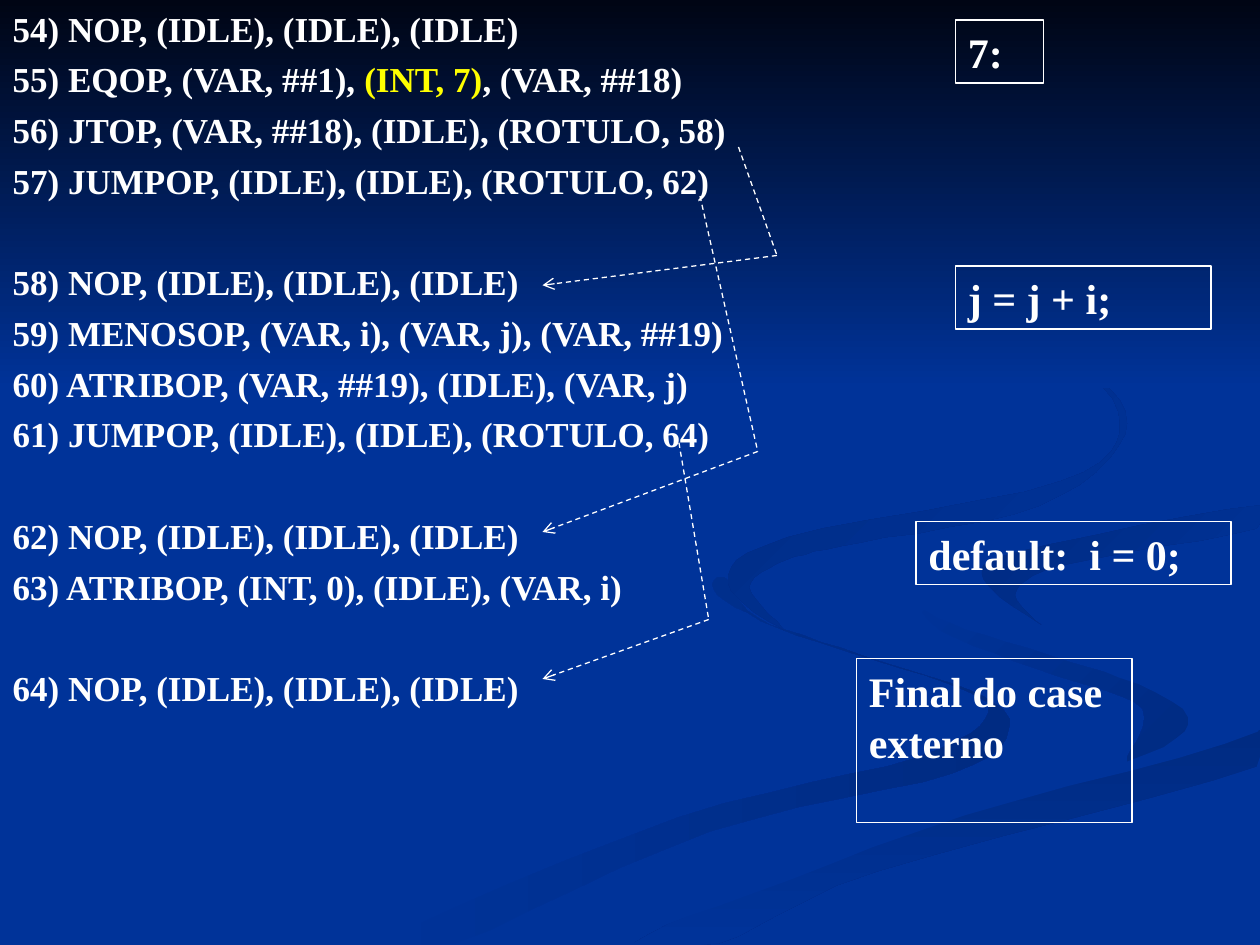
from dataclasses import dataclass

from lxml.etree import SubElement
from pptx import Presentation
from pptx.dml.color import RGBColor
from pptx.enum.dml import MSO_LINE
from pptx.enum.shapes import MSO_CONNECTOR, MSO_SHAPE
from pptx.enum.text import MSO_ANCHOR, MSO_AUTO_SIZE, PP_ALIGN
from pptx.oxml.ns import qn
from pptx.util import Pt


@dataclass(frozen=True)
class Theme:
    background: str = "003399"
    night: str = "000514"
    ribbon: str = "002B82"
    text: str = "FFFFFF"
    highlight: str = "FFFF00"
    font: str = "Times New Roman"
    code_size: float = 20
    callout_size: float = 24
    line_width: float = 0.75


THEME = Theme()
WIDTH, HEIGHT = 720, 540
CURVE_STEPS = 6

# Start colour, end colour, clockwise gradient angle, points the outline curves through
RIBBONS = [
    (THEME.background, THEME.ribbon, 0, [
        (414, 330), (410, 340), (455, 363), (540, 390), (565, 407), (524, 433),
        (388, 467), (216, 539), (260, 539), (406, 475), (544, 442), (576, 418), (562, 398),
        (491, 374), (433, 353)]),
    (THEME.background, THEME.ribbon, 45, [
        (521, 334), (537, 360), (603, 386), (653, 405), (644, 436), (677, 419),
        (670, 398), (598, 374), (535, 353)]),
    (THEME.ribbon, THEME.background, 90, [
        (362, 539), (411, 539), (501, 498), (718, 438), (718, 418), (550, 466), (454, 499)]),
    (THEME.background, THEME.background, 0, [
        (522, 334), (536, 353), (627, 382), (679, 410), (642, 436), (507, 472),
        (343, 539), (410, 518), (551, 466), (719, 418), (719, 387), (579, 349),
        (576, 318), (719, 289), (719, 279), (544, 311)]),
    (THEME.ribbon, THEME.background, 45, [
        (562, 331), (595, 357), (580, 340), (607, 323), (718, 302), (718, 289), (583, 315)]),
    (THEME.ribbon, THEME.background, 45, [
        (492, 310), (594, 289), (643, 248), (622, 210), (549, 168), (609, 201), (640, 241),
        (606, 275), (450, 307), (416, 333), (448, 360), (428, 336), (449, 320)]),
]

# Groups of instructions; asterisks mark a highlighted operand
CODE_GROUPS = [
    ["54) NOP, (IDLE), (IDLE), (IDLE)",
     "55) EQOP, (VAR, ##1), *(INT, 7)*, (VAR, ##18)",
     "56) JTOP, (VAR, ##18), (IDLE), (ROTULO, 58)",
     "57) JUMPOP, (IDLE), (IDLE), (ROTULO, 62)"],
    ["58) NOP, (IDLE), (IDLE), (IDLE)",
     "59) MENOSOP, (VAR, i), (VAR, j), (VAR, ##19)",
     "60) ATRIBOP, (VAR, ##19), (IDLE), (VAR, j)",
     "61) JUMPOP, (IDLE), (IDLE), (ROTULO, 64)"],
    ["62) NOP, (IDLE), (IDLE), (IDLE)",
     "63) ATRIBOP, (INT, 0), (IDLE), (VAR, i)"],
    ["64) NOP, (IDLE), (IDLE), (IDLE)"],
]

# Text, left, top, width, height
CALLOUTS = [
    ("7:", 546, 11.5, 50.5, 36),
    ("j = j + i;", 546, 152, 146, 36),
    ("default:  i = 0;", 523.5, 298, 180, 36),
    ("Final do case externo", 489.5, 376.5, 157.5, 93.5),
]

# Start, elbow and target of each jump
JUMPS = [
    ((422, 84), (444, 146), (310, 163)),
    ((400, 112), (433, 258), (310, 304)),
    ((388, 253), (405, 354), (310, 388)),
]


def rgb(value):
    return RGBColor.from_string(value)


def format_font(font, size, color=THEME.text):
    font.name = THEME.font
    font.size = Pt(size)
    font.bold = True
    font.color.rgb = rgb(color)


def smooth_outline(points):
    """Closed Catmull-Rom curve through the points, kept inside the slide."""
    curve = []
    for index, current in enumerate(points):
        before = points[index - 1]
        following, after = (points[(index + offset) % len(points)] for offset in (1, 2))
        for step in range(CURVE_STEPS):
            t = step / CURVE_STEPS
            curve.append(tuple(
                min(max(b + t * (c - a + t * (2 * a - 5 * b + 4 * c - d
                                              + t * (3 * b - a - 3 * c + d))) / 2, 0), limit)
                for a, b, c, d, limit in zip(before, current, following, after, (WIDTH, HEIGHT))))
    return curve


def fill_gradient(shape, start_color, end_color, angle):
    shape.shadow.inherit = False
    shape.line.fill.background()
    shape.fill.gradient()
    shape.fill.gradient_angle = (360 - angle) % 360
    for stop, color, position in zip(shape.fill.gradient_stops, (start_color, end_color), (0, 1)):
        stop.color.rgb = rgb(color)
        stop.position = position


def add_ribbon(slide, start_color, end_color, angle, points):
    outline = smooth_outline(points)
    builder = slide.shapes.build_freeform(*outline[0], scale=Pt(1))
    builder.add_line_segments(outline[1:], close=True)
    fill_gradient(builder.convert_to_shape(), start_color, end_color, angle)


def fill_code(body):
    body.left, body.top, body.width, body.height = Pt(0), Pt(0), Pt(WIDTH), Pt(HEIGHT)
    frame = body.text_frame
    frame.word_wrap = True
    frame.auto_size = MSO_AUTO_SIZE.NONE
    frame.vertical_anchor = MSO_ANCHOR.TOP
    frame.margin_top = Pt(4)
    for group_index, group in enumerate(CODE_GROUPS):
        for line_index, line in enumerate(group):
            first = group_index == line_index == 0
            paragraph = frame.paragraphs[0] if first else frame.add_paragraph()
            properties = paragraph._p.get_or_add_pPr()
            properties.set("marL", str(Pt(27)))
            properties.set("indent", str(-Pt(27)))
            SubElement(properties, qn("a:buNone"))
            paragraph.line_spacing = Pt(24)
            paragraph.space_before = Pt(0 if first else 5 if line_index else 34)
            for piece_index, text in enumerate(line.split("*")):
                run = paragraph.add_run()
                run.text = text
                format_font(run.font, THEME.code_size,
                            THEME.highlight if piece_index % 2 else THEME.text)


def add_callout(slide, text, left, top, width, height):
    shape = slide.shapes.add_shape(MSO_SHAPE.RECTANGLE, Pt(left), Pt(top), Pt(width), Pt(height))
    shape.shadow.inherit = False
    shape.fill.background()
    shape.line.color.rgb = rgb(THEME.text)
    shape.line.width = Pt(THEME.line_width)
    frame = shape.text_frame
    frame.text = text
    frame.word_wrap = True
    frame.vertical_anchor = MSO_ANCHOR.TOP
    paragraph = frame.paragraphs[0]
    paragraph.alignment = PP_ALIGN.LEFT
    paragraph.line_spacing = Pt(29)
    format_font(paragraph.runs[0].font, THEME.callout_size)


def add_dashed_line(slide, start, end, arrow=False):
    connector = slide.shapes.add_connector(
        MSO_CONNECTOR.STRAIGHT, *(Pt(value) for value in start + end))
    connector.line.color.rgb = rgb(THEME.text)
    connector.line.width = Pt(THEME.line_width)
    connector.line.dash_style = MSO_LINE.DASH
    if arrow:
        SubElement(connector.line._get_or_add_ln(), qn("a:tailEnd"), type="arrow")
    SubElement(connector._element.spPr, qn("a:effectLst"))


def main():
    presentation = Presentation()
    presentation.slide_width, presentation.slide_height = Pt(WIDTH), Pt(HEIGHT)
    slide = presentation.slides.add_slide(presentation.slide_layouts[1])
    slide.background.fill.solid()
    slide.background.fill.fore_color.rgb = rgb(THEME.background)

    # The slide has no title
    title = slide.shapes.title._element
    title.getparent().remove(title)

    # Background ribbons and dark top band, with the code above them
    body = slide.placeholders[1]
    for ribbon in RIBBONS:
        add_ribbon(slide, *ribbon)
    band = slide.shapes.add_shape(MSO_SHAPE.RECTANGLE, Pt(0), Pt(0), Pt(WIDTH), Pt(222))
    fill_gradient(band, THEME.night, THEME.background, 90)
    slide.shapes._spTree.append(body._element)
    fill_code(body)

    # Source statements beside the code
    for callout in CALLOUTS:
        add_callout(slide, *callout)

    # Jump arrows
    for start, elbow, target in JUMPS:
        add_dashed_line(slide, start, elbow)
        add_dashed_line(slide, elbow, target, arrow=True)

    presentation.save("out.pptx")


if __name__ == "__main__":
    main()
